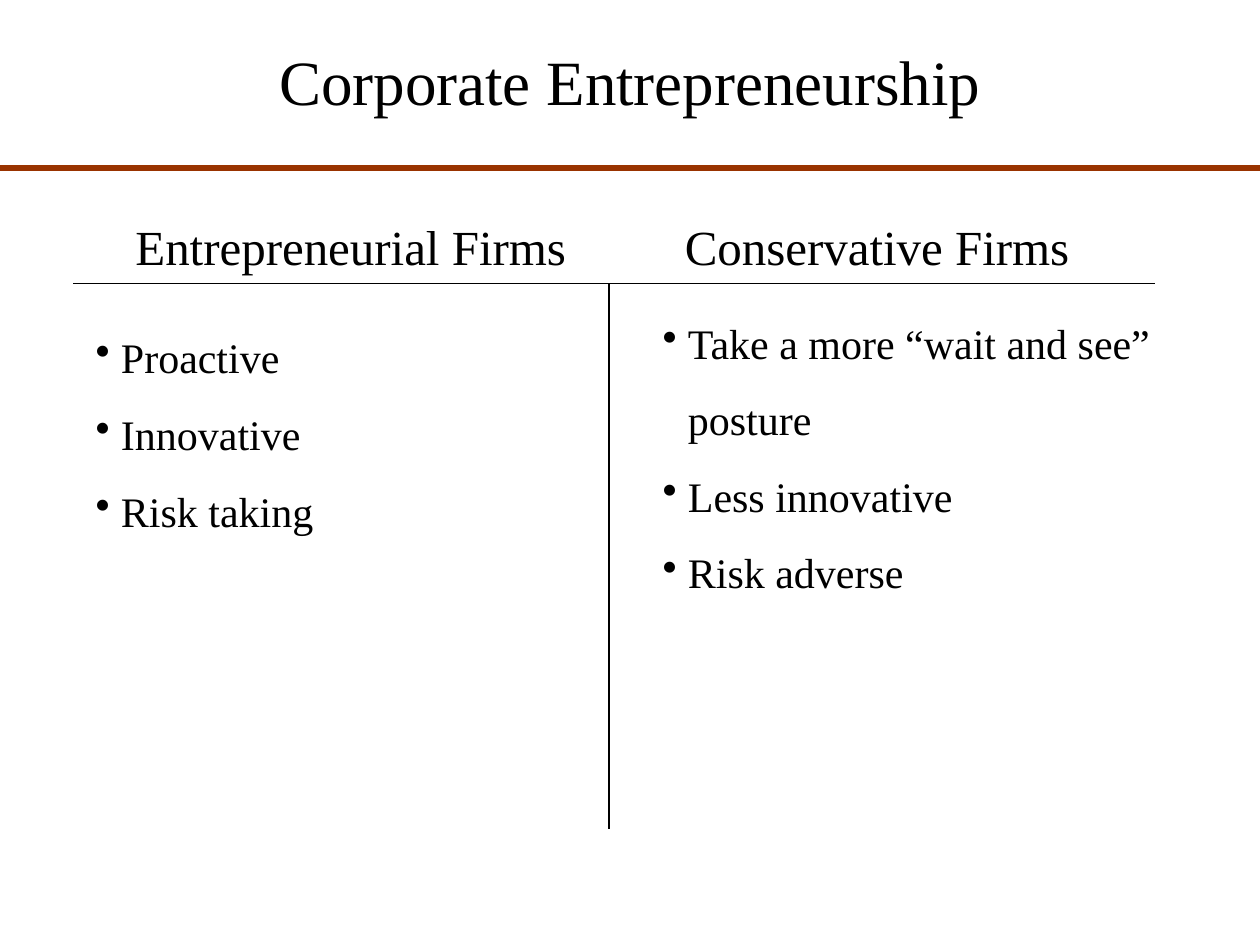
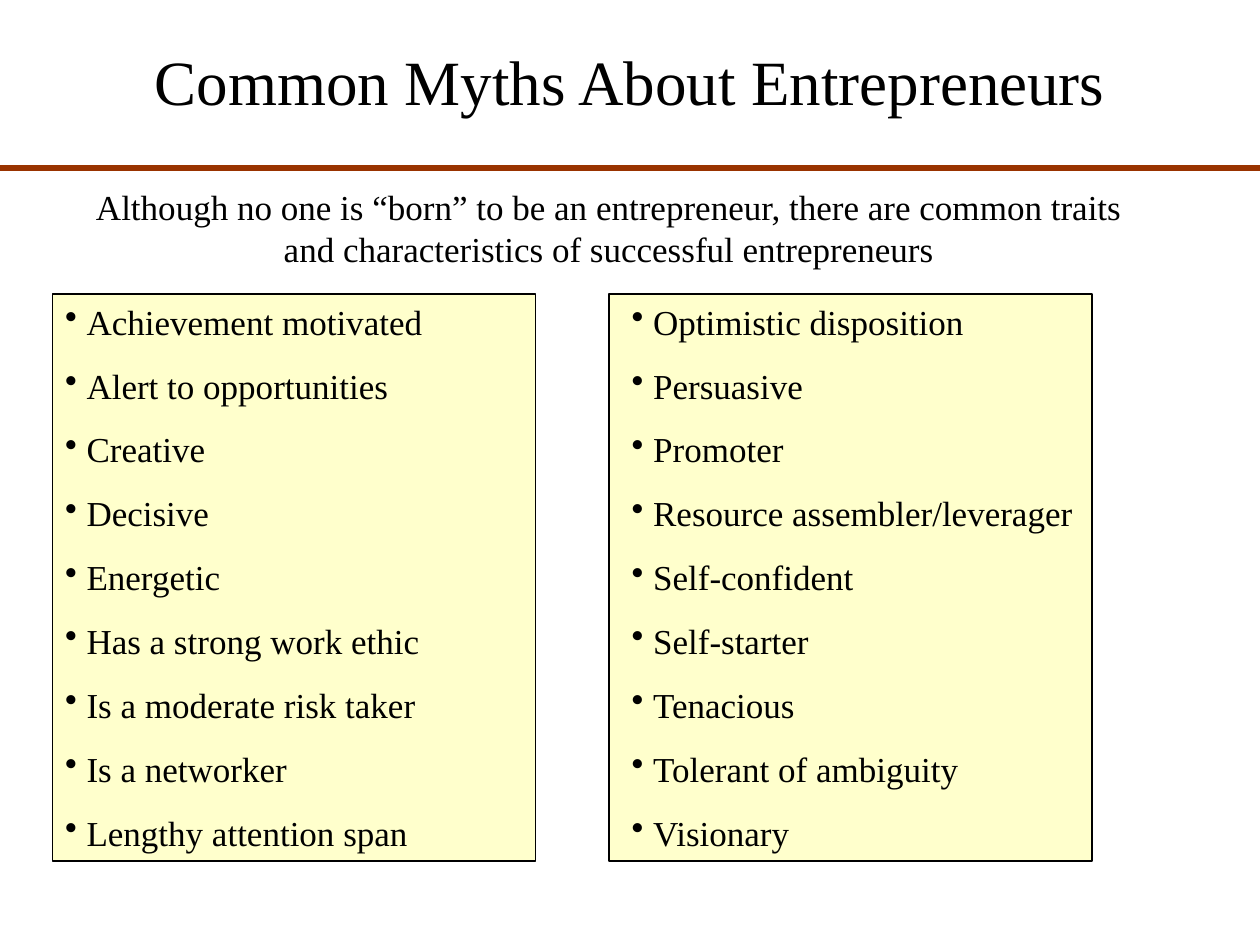
from lxml import etree
from pptx import Presentation
from pptx.dml.color import RGBColor
from pptx.enum.shapes import MSO_CONNECTOR, MSO_SHAPE
from pptx.enum.text import MSO_ANCHOR, PP_ALIGN
from pptx.oxml.ns import qn
from pptx.util import Inches, Pt

LEFT, CENTER = PP_ALIGN.LEFT, PP_ALIGN.CENTER
TOP = MSO_ANCHOR.TOP
STRAIGHT, RECTANGLE = MSO_CONNECTOR.STRAIGHT, MSO_SHAPE.RECTANGLE

FONT = "Times New Roman"
COLORS = {"text": "000000", "rule": "993300", "panel": "FFFFCC"}
SIZES = {"title": 36, "heading": 28, "list": 24, "body": 20}

# The grid has twelve units to the inch.
COLUMNS, ROWS = 120, 90
PANEL_TOP, PANEL_WIDTH, PANEL_HEIGHT = 28, 46, 54
DIVIDER_COLUMN = 58


def color(name):
    return RGBColor.from_string(COLORS[name])


class Deck:
    def __init__(self):
        self.presentation = Presentation()
        self.presentation.slide_width = Inches(10)
        self.presentation.slide_height = Inches(7.5)
        self.slide = None

    def place(self, *lengths):
        """Turn alternating columns and rows into slide lengths."""
        units = (self.presentation.slide_width / COLUMNS,
                 self.presentation.slide_height / ROWS)
        return [round(length * units[index % 2])
                for index, length in enumerate(lengths)]

    def add_slide(self, title):
        self.slide = self.presentation.slides.add_slide(
            self.presentation.slide_layouts[6])
        self.text((0, 4, COLUMNS, 7.6), title, "title", CENTER)
        self.line((0, 16, COLUMNS, 16), "rule", 3)

    def line(self, ends, color_name="text", width=0.75):
        connector = self.slide.shapes.add_connector(STRAIGHT, *self.place(*ends))
        connector.line.color.rgb = color(color_name)
        connector.line.width = Pt(width)
        etree.SubElement(connector._element.spPr, qn("a:effectLst"))

    def prepare_frame(self, shape, top_inset=0.0):
        frame = shape.text_frame
        frame.word_wrap = True
        frame.vertical_anchor = TOP
        frame.margin_left = frame.margin_right = frame.margin_bottom = 0
        frame.margin_top = Inches(top_inset)
        return frame

    def style(self, paragraph, size, alignment=LEFT):
        paragraph.alignment = alignment
        paragraph.font.name = FONT
        paragraph.font.size = Pt(SIZES[size])
        paragraph.font.color.rgb = color("text")

    def text(self, area, words, size, alignment=LEFT, tab=None):
        box = self.slide.shapes.add_textbox(*self.place(*area))
        paragraph = self.prepare_frame(box).paragraphs[0]
        paragraph.text = words
        if tab:
            tabs = etree.SubElement(paragraph._p.get_or_add_pPr(), qn("a:tabLst"))
            etree.SubElement(tabs, qn("a:tab"), pos=str(Inches(tab)), algn="l")
        self.style(paragraph, size, alignment)

    def fill_bullets(self, frame, items, size, margin, hang, gap):
        for index, item in enumerate(items):
            paragraph = frame.add_paragraph() if index else frame.paragraphs[0]
            paragraph.text = item
            properties = paragraph._p.get_or_add_pPr()
            properties.set("marL", str(Inches(margin)))
            properties.set("indent", str(-Inches(hang)))
            etree.SubElement(properties, qn("a:buChar"), char="•")
            self.style(paragraph, size)
            if index:
                paragraph.space_before = Pt(gap)
        return frame

    def bullet_list(self, area, items):
        box = self.slide.shapes.add_textbox(*self.place(*area))
        return self.fill_bullets(self.prepare_frame(box), items, "list", 0.21, 0.2, 15)

    def bullet_panel(self, column, items, margin):
        panel = self.slide.shapes.add_shape(
            RECTANGLE, *self.place(column, PANEL_TOP, PANEL_WIDTH, PANEL_HEIGHT))
        panel.shadow.inherit = False
        panel.fill.solid()
        panel.fill.fore_color.rgb = color("panel")
        panel.line.color.rgb = color("text")
        panel.line.width = Pt(0.75)
        frame = self.prepare_frame(panel, 0.05)
        self.fill_bullets(frame, items, "body", margin, 0.17, 12.5)


def add_firm_comparison(deck):
    deck.add_slide("Corporate Entrepreneurship")
    deck.line((DIVIDER_COLUMN, 27, DIVIDER_COLUMN, 79))
    deck.text((12.9, 20.6, 89, 5.8), "Entrepreneurial Firms\tConservative Firms",
              "heading", tab=4.36)
    deck.line((7, 27, 110, 27))
    deck.bullet_list((9, 31.6, 21, 20), ["Proactive", "Innovative", "Risk taking"])
    conservative = deck.bullet_list(
        (63, 27.7, 47, 29.4),
        ["Take a more “wait and see” posture", "Less innovative", "Risk adverse"])
    conservative.paragraphs[0].line_spacing = 1.52


def add_common_myths(deck):
    deck.add_slide("Common Myths About Entrepreneurs")
    deck.text((8.8, 17.7, 98.4, 8),
              "Although no one is “born” to be an entrepreneur, there are common "
              "traits and characteristics of successful entrepreneurs",
              "body", CENTER)
    deck.bullet_panel(5, [
        "Achievement motivated", "Alert to opportunities", "Creative",
        "Decisive", "Energetic", "Has a strong work ethic",
        "Is a moderate risk taker", "Is a networker", "Lengthy attention span",
    ], 0.27)
    deck.bullet_panel(DIVIDER_COLUMN, [
        "Optimistic disposition", "Persuasive", "Promoter",
        "Resource assembler/leverager", "Self-confident", "Self-starter",
        "Tenacious", "Tolerant of ambiguity", "Visionary",
    ], 0.35)


def main():
    deck = Deck()
    add_firm_comparison(deck)
    add_common_myths(deck)
    deck.presentation.save("out.pptx")


if __name__ == "__main__":
    main()
